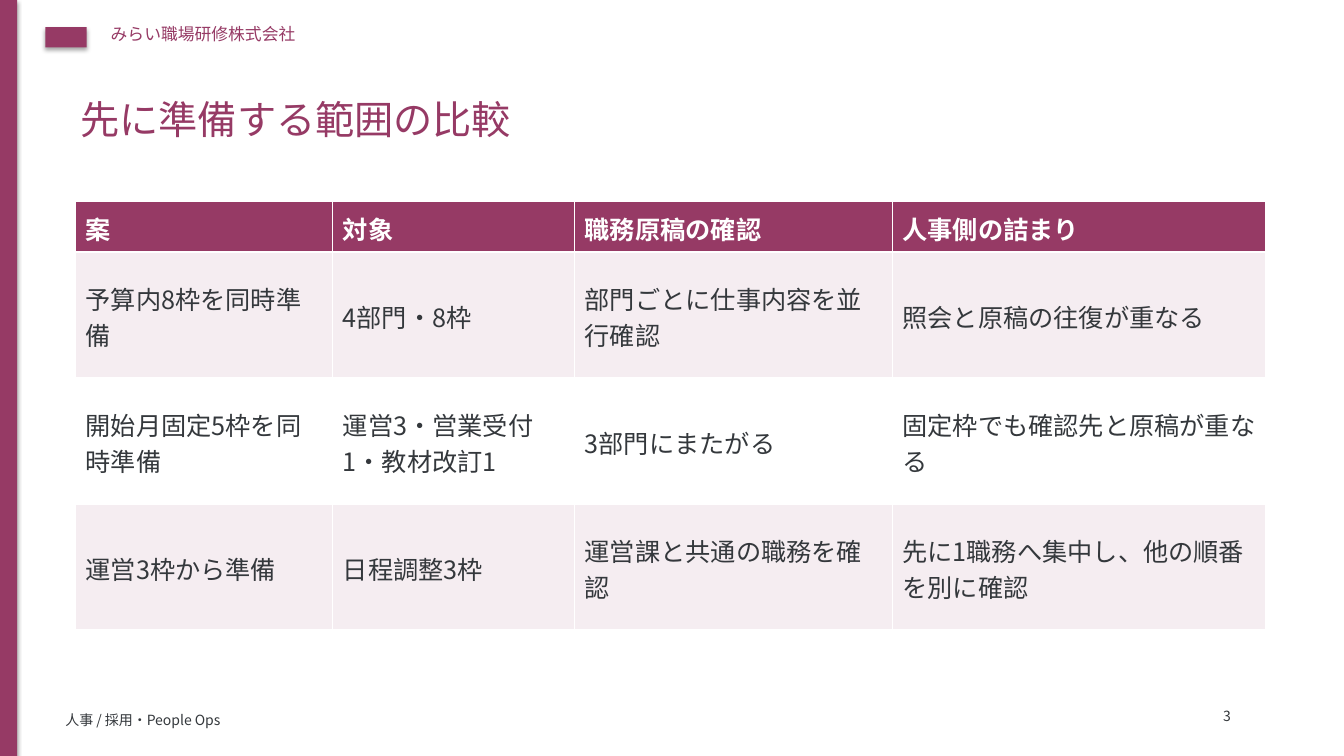
from dataclasses import dataclass

from lxml.etree import SubElement
from pptx import Presentation
from pptx.dml.color import RGBColor
from pptx.enum.shapes import MSO_SHAPE
from pptx.enum.text import MSO_ANCHOR, MSO_AUTO_SIZE
from pptx.oxml.ns import qn
from pptx.slide import Slide
from pptx.text.text import TextFrame
from pptx.util import Emu, Pt

SCALE = 9144
FONT = "Noto Sans CJK JP"
PLUM = "963A65"
INK = "34383C"
WHITE = "FFFFFF"
TINT = "F5EDF1"


@dataclass(frozen=True)
class Box:
    left: int
    top: int
    width: int
    height: int


@dataclass(frozen=True)
class Label:
    box: Box
    text: str
    size: int
    tint: str
    wrap: bool = False
    grow: bool = True
    inset: tuple[int, int] = (10, 5)


BARS = [Box(0, 0, 17, 750), Box(45, 27, 41, 20)]
LABELS = [
    Label(Box(100, 19, 800, 40), "みらい職場研修株式会社", 12, PLUM),
    Label(Box(55, 701, 1000, 30), "人事 / 採用・People Ops", 10, INK),
    Label(Box(70, 90, 1180, 85), "先に準備する範囲の比較", 28, PLUM, wrap=True, grow=False),
    Label(Box(1210, 701, 45, 25), "3", 10, INK, wrap=True, inset=(3, 1)),
]
GRID = Box(75, 200, 1180, 425)
WIDTHS = [255, 240, 315, 370]
HEIGHTS = [50, 125, 125, 125]
ROWS = [
    ["案", "対象", "職務原稿の確認", "人事側の詰まり"],
    ["予算内8枠を同時準備", "4部門・8枠", "部門ごとに仕事内容を並行確認", "照会と原稿の往復が重なる"],
    ["開始月固定5枠を同時準備", "運営3・営業受付1・教材改訂1", "3部門にまたがる", "固定枠でも確認先と原稿が重なる"],
    ["運営3枠から準備", "日程調整3枠", "運営課と共通の職務を確認", "先に1職務へ集中し、他の順番を別に確認"],
]


def px(count: int) -> Emu:
    return Emu(count * SCALE)


def frame(box: Box) -> tuple[Emu, Emu, Emu, Emu]:
    return px(box.left), px(box.top), px(box.width), px(box.height)


def paint(target, tint: str) -> None:
    target.solid()
    target.fore_color.rgb = RGBColor.from_string(tint)


def write(body: TextFrame, text: str, *, size: int, tint: str, bold: bool = False) -> None:
    run = body.paragraphs[0].add_run()
    run.text = text
    font = run.font
    font.size = Pt(size)
    font.bold = bold
    font.color.rgb = RGBColor.from_string(tint)
    font.name = FONT
    SubElement(run._r.get_or_add_rPr(), qn("a:ea"), typeface=FONT)


def add_bar(slide: Slide, box: Box) -> None:
    shape = slide.shapes.add_shape(MSO_SHAPE.RECTANGLE, *frame(box))
    paint(shape.fill, PLUM)
    shape.line.fill.background()
    shape.shadow.inherit = False
    effects = shape._element.spPr.find(qn("a:effectLst"))
    shade = SubElement(effects, qn("a:outerShdw"), blurRad="40000", dist="23000",
                       dir="5400000", rotWithShape="0")
    black = SubElement(shade, qn("a:srgbClr"), val="000000")
    SubElement(black, qn("a:alpha"), val="35000")


def add_label(slide: Slide, label: Label) -> None:
    body = slide.shapes.add_textbox(*frame(label.box)).text_frame
    body.word_wrap = label.wrap
    body.auto_size = MSO_AUTO_SIZE.SHAPE_TO_FIT_TEXT if label.grow else MSO_AUTO_SIZE.NONE
    side, edge = label.inset
    body.margin_left = body.margin_right = px(side)
    body.margin_top = body.margin_bottom = px(edge)
    write(body, label.text, size=label.size, tint=label.tint)


def add_grid(slide: Slide) -> None:
    table = slide.shapes.add_table(len(ROWS), len(WIDTHS), *frame(GRID)).table
    for column, width in zip(table.columns, WIDTHS):
        column.width = px(width)
    for index, (row, height, texts) in enumerate(zip(table.rows, HEIGHTS, ROWS)):
        row.height = px(height)
        head = index == 0
        fill = PLUM if head else TINT if index % 2 else WHITE
        for cell, text in zip(row.cells, texts):
            paint(cell.fill, fill)
            cell.vertical_anchor = MSO_ANCHOR.MIDDLE
            cell.margin_left = cell.margin_right = px(10)
            cell.margin_top = px(8)
            cell.margin_bottom = px(5)
            write(cell.text_frame, text, size=18, tint=WHITE if head else INK, bold=head)


def main() -> None:
    deck = Presentation()
    deck.slide_width = px(1333)
    deck.slide_height = px(750)
    slide = deck.slides.add_slide(deck.slide_layouts[6])
    paint(slide.background.fill, WHITE)
    for bar in BARS:
        add_bar(slide, bar)
    for label in LABELS:
        add_label(slide, label)
    add_grid(slide)
    deck.save("out.pptx")


if __name__ == "__main__":
    main()
